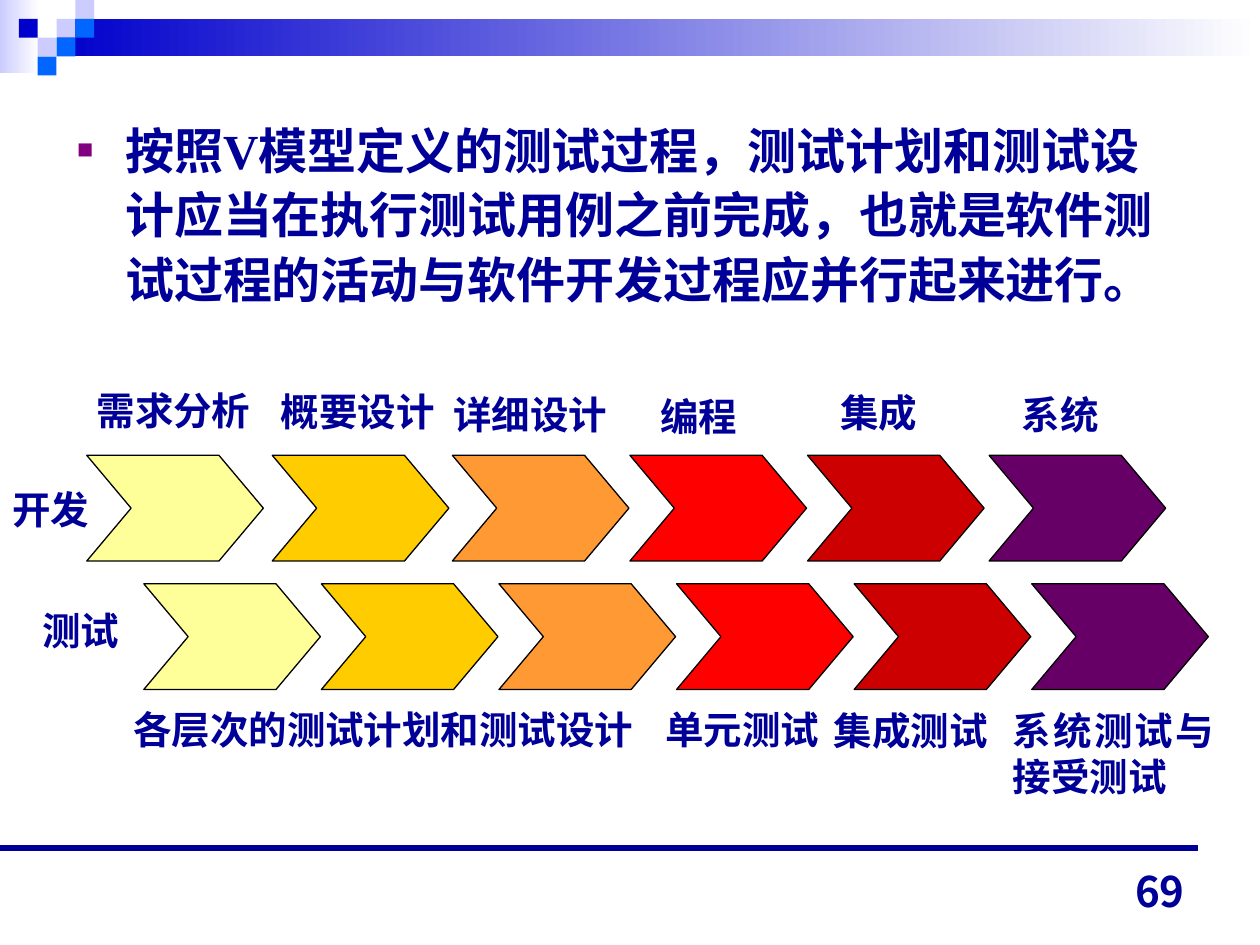
import pptx
import pptx.dml.color
import pptx.enum.shapes
import pptx.enum.text
import pptx.util
from lxml import etree
from pptx.oxml.ns import qn

Cm = pptx.util.Cm
Pt = pptx.util.Pt
ALIGN = pptx.enum.text.PP_ALIGN
ANCHOR = pptx.enum.text.MSO_ANCHOR
SHAPE = pptx.enum.shapes.MSO_SHAPE


def rgb(code):
    return pptx.dml.color.RGBColor.from_string(code)


class Deck:
    ink = "000099"
    font = "Times New Roman"

    def __init__(self, slide):
        self.slide = slide

    def block(self, x, y, w, h, fill, fade=False, kind=SHAPE.RECTANGLE):
        """Borderless shape, plain or fading to white on the right."""
        shape = self.slide.shapes.add_shape(kind, Cm(x), Cm(y), Cm(w), Cm(h))
        shape.shadow.inherit = False
        shape.line.fill.background()
        if fade:
            shape.fill.gradient()
            shape.fill.gradient_angle = 0
            for stop, code in zip(shape.fill.gradient_stops, (fill, "FFFFFF")):
                stop.color.rgb = rgb(code)
        else:
            shape.fill.solid()
            shape.fill.fore_color.rgb = rgb(fill)
        return shape

    def arrow(self, x, y, fill):
        shape = self.block(x, y, 3.56, 2.13, fill, kind=SHAPE.CHEVRON)
        shape.adjustments[0] = 0.42
        shape.line.color.rgb = rgb("000000")
        shape.line.width = Pt(0.75)

    def rule(self, x1, x2, y):
        line = self.slide.shapes.add_connector(
            pptx.enum.shapes.MSO_CONNECTOR.STRAIGHT, Cm(x1), Cm(y), Cm(x2), Cm(y))
        line.line.color.rgb = rgb(self.ink)
        line.line.width = Pt(3.25)
        etree.SubElement(line._element.spPr, qn("a:effectLst"))

    def style(self, para, size, font=None):
        for run in para.runs:
            run.font.name = font or self.font
            run.font.size = Pt(size)
            run.font.bold = True
            run.font.color.rgb = rgb(self.ink)

    def label(self, text, x, y, w, h=1.85, size=22, align=ALIGN.JUSTIFY,
              anchor=ANCHOR.TOP, font=None):
        box = self.slide.shapes.add_textbox(Cm(x), Cm(y), Cm(w), Cm(h))
        frame = box.text_frame
        frame.word_wrap = True
        frame.vertical_anchor = anchor
        frame.text = text
        para = frame.paragraphs[0]
        para.alignment = align
        self.style(para, size, font)

    def body(self, text, x, y, w, h):
        """Bulleted text in the content placeholder."""
        box = self.slide.placeholders[1]
        box.left, box.top, box.width, box.height = Cm(x), Cm(y), Cm(w), Cm(h)
        frame = box.text_frame
        frame.auto_size = pptx.enum.text.MSO_AUTO_SIZE.NONE
        frame.vertical_anchor = ANCHOR.TOP
        frame.text = text
        para = frame.paragraphs[0]
        props = para._p.get_or_add_pPr()
        props.set("marL", str(Cm(0.97)))
        props.set("indent", str(-Cm(0.97)))
        tint = etree.SubElement(props, qn("a:buClr"))
        etree.SubElement(tint, qn("a:srgbClr"), val="800080")
        etree.SubElement(props, qn("a:buSzPct"), val="55000")
        etree.SubElement(props, qn("a:buChar"), char="■")
        para.line_spacing = 1.1
        para.space_before = Pt(0)
        self.style(para, 28)


def main():
    prs = pptx.Presentation()
    prs.slide_width, prs.slide_height = Cm(25.4), Cm(19.05)
    slide = prs.slides.add_slide(prs.slide_layouts[1])
    title = slide.shapes.title._element
    title.getparent().remove(title)
    deck = Deck(slide)

    # Header band and its squares, on a grid of column and row
    deck.block(0, 0, 0.79, 1.47, "CCCCFF", fade=True)
    deck.block(1.14, 0.38, 24.26, 0.76, "0000CC", fade=True)
    unit = 0.38
    squares = [(3, 1, "CCCCFF"), (4, 0, "CCCCFF"), (4, 1, "0066FF"),
               (2, 2, "CCCCFF"), (1, 1, "0000CC"), (3, 2, "0066FF"),
               (2, 3, "0066FF")]
    for col, row, fill in squares:
        deck.block(col * unit, row * unit, unit, unit, fill)

    # Footer line and page number
    deck.rule(0, 24.16, 17.09)
    deck.label("69", 18.21, 17.32, 5.92, 1.27, 24, ALIGN.RIGHT,
               ANCHOR.BOTTOM, "Noto Sans CJK JP")

    # Main statement
    deck.body("按照V模型定义的测试过程，测试计划和测试设计应当在执行测试用例之前完成，"
              "也就是软件测试过程的活动与软件开发过程应并行起来进行。",
              1.3, 2.18, 22.86, 4.93)

    # Development row above, test row below
    fills = ["FFFF99", "FFCC00", "FF9933", "FF0000", "CC0000", "660066"]
    lefts = [1.75, 5.49, 9.12, 12.7, 16.28, 19.94]
    for i, (fill, left) in enumerate(zip(fills, lefts)):
        deck.arrow(left, 9.18, fill)
        deck.arrow(2.9 + 3.58 * i, 11.77, fill)

    # Row names and stage names
    labels = [
        ("开发", 0, 9.68, 2.24),
        ("测试", 0.61, 12.12, 2.24),
        ("需求分析", 1.7, 7.67, 3.84),
        ("概要设计", 5.41, 7.7, 3.73),
        ("详细设计", 8.89, 7.75, 3.96),
        ("编程", 13.06, 7.8, 2.41),
        ("集成", 16.69, 7.72, 3.15),
        ("系统", 20.35, 7.75, 2.41),
        ("各层次的测试计划和测试设计", 2.44, 14.1, 11.23),
        ("单元测试", 13.16, 14.1, 3.68),
        ("集成测试", 16.56, 14.12, 3.73),
        ("系统测试与接受测试", 20.17, 14.12, 4.55),
    ]
    for text, x, y, w in labels:
        deck.label(text, x, y, w)

    prs.save("out.pptx")


if __name__ == "__main__":
    main()
